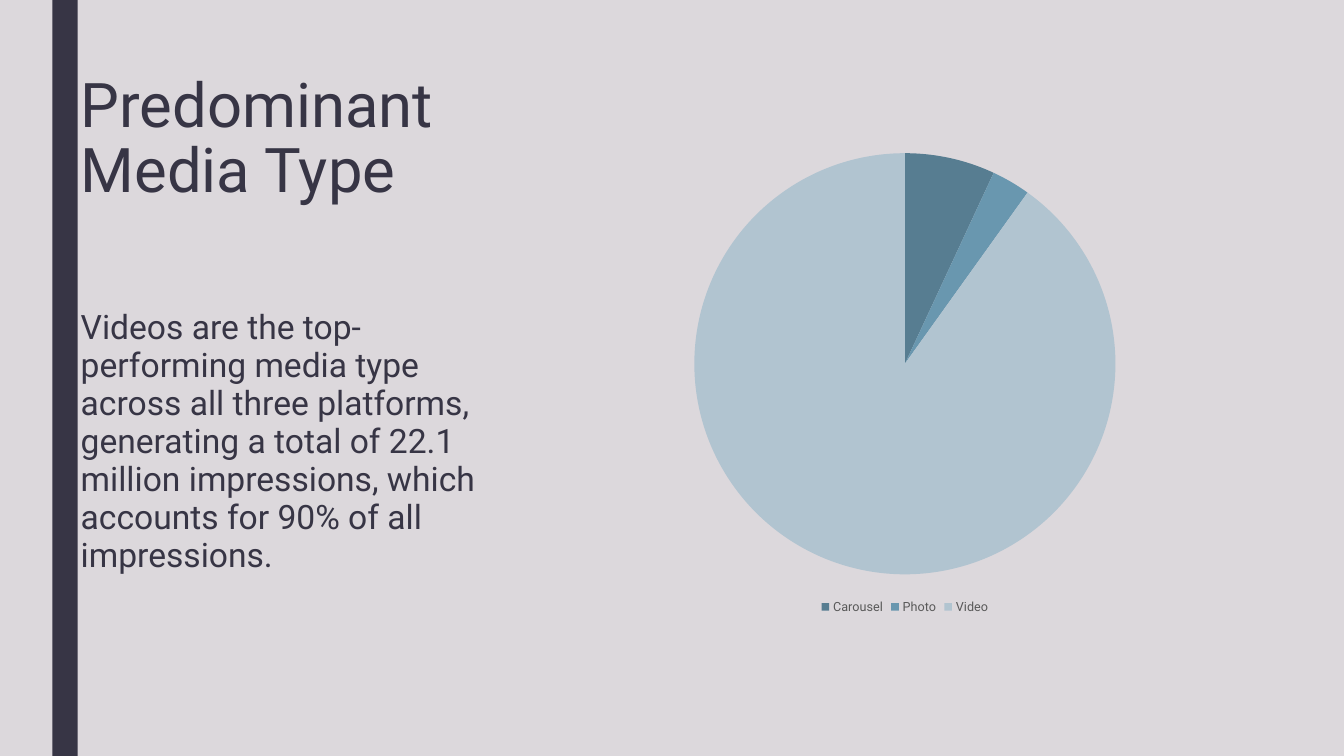
from lxml import etree
from pptx import Presentation
from pptx.chart.data import CategoryChartData
from pptx.dml.color import RGBColor
from pptx.enum.chart import XL_CHART_TYPE, XL_LEGEND_POSITION
from pptx.enum.shapes import MSO_SHAPE
from pptx.enum.text import MSO_ANCHOR, MSO_AUTO_SIZE, PP_ALIGN
from pptx.oxml.ns import qn
from pptx.util import Cm, Pt

PIE = XL_CHART_TYPE.PIE
BOTTOM = XL_LEGEND_POSITION.BOTTOM
RECTANGLE = MSO_SHAPE.RECTANGLE
TOP = MSO_ANCHOR.TOP
NO_FIT = MSO_AUTO_SIZE.NONE
LEFT = PP_ALIGN.LEFT

FONT = "Roboto"
INK = "373545"
BACKGROUND = "DCD8DC"
LEGEND_GREY = "595959"
MEDIA_SHARES = {
    "Carousel": (7, "577D91"),
    "Photo": (3, "6997AF"),
    "Video": (91, "B1C4D0"),
}
TITLE = "Predominant Media Type"
BODY = (
    "Videos are the top-performing media type across all three platforms, "
    "generating a total of 22.1 million impressions, which accounts for "
    "90% of all impressions."
)


def color(hex_code):
    return RGBColor.from_string(hex_code)


def apply_format(target, values):
    for name, value in values.items():
        setattr(target, name, value)


def format_font(font, size, hex_code):
    apply_format(font, {"name": FONT, "size": Pt(size), "bold": False})
    font.color.rgb = color(hex_code)


def paint(part, hex_code):
    """Fill a shape or chart point and hide its outline."""
    part.fill.solid()
    part.fill.fore_color.rgb = color(hex_code)
    part.line.fill.background()


def place(box, left, top, width, height):
    apply_format(box, {"left": Cm(left), "top": Cm(top),
                       "width": Cm(width), "height": Cm(height)})


def add_bar(page, deck):
    bar = page.shapes.add_shape(RECTANGLE, Cm(1.32), 0, Cm(0.64), deck.slide_height)
    bar.shadow.inherit = False
    paint(bar, INK)


def fill_placeholder(box, text, size, para_format):
    frame = box.text_frame
    apply_format(frame, {"word_wrap": True, "auto_size": NO_FIT,
                         "vertical_anchor": TOP})
    para = frame.paragraphs[0]
    apply_format(para, {"alignment": LEFT, **para_format})
    span = para.add_run()
    span.text = text
    format_font(span.font, size, INK)
    return para


def remove_bullet(para):
    properties = para._p.get_or_add_pPr()
    properties.set("marL", "0")
    properties.set("indent", "0")
    etree.SubElement(properties, qn("a:buNone"))


def add_media_pie(page):
    data = CategoryChartData()
    data.categories = list(MEDIA_SHARES)
    data.add_series("Series 1", [share for share, _ in MEDIA_SHARES.values()])
    chart = page.shapes.add_chart(
        PIE, Cm(14.78), Cm(3.51), Cm(16.05), Cm(12.07), data).chart
    format_font(chart.font, 10, "000000")
    apply_format(chart, {"has_title": False, "has_legend": True})
    apply_format(chart.legend, {"position": BOTTOM, "include_in_layout": False})
    format_font(chart.legend.font, 9, LEGEND_GREY)

    # Slice colours
    plot = chart.plots[0]
    plot.vary_by_categories = True
    for index, (_, hex_code) in enumerate(MEDIA_SHARES.values()):
        paint(plot.series[0].points[index].format, hex_code)


def main():
    deck = Presentation()
    apply_format(deck, {"slide_width": Cm(33.87), "slide_height": Cm(19.05)})
    page = deck.slides.add_slide(deck.slide_layouts[1])
    page.background.fill.solid()
    page.background.fill.fore_color.rgb = color(BACKGROUND)

    # Side bar
    add_bar(page, deck)

    # Title and text
    title, body = page.shapes.title, page.placeholders[1]
    place(title, 1.78, 1.75, 11.18, 5.66)
    fill_placeholder(title, TITLE, 44, {"line_spacing": 0.89})
    place(body, 1.78, 7.67, 11.18, 9.65)
    para = fill_placeholder(body, BODY, 24, {
        "line_spacing": 0.94, "space_before": Pt(10), "space_after": Pt(2)})
    remove_bullet(para)

    # Chart
    add_media_pie(page)
    deck.save("out.pptx")


if __name__ == "__main__":
    main()
